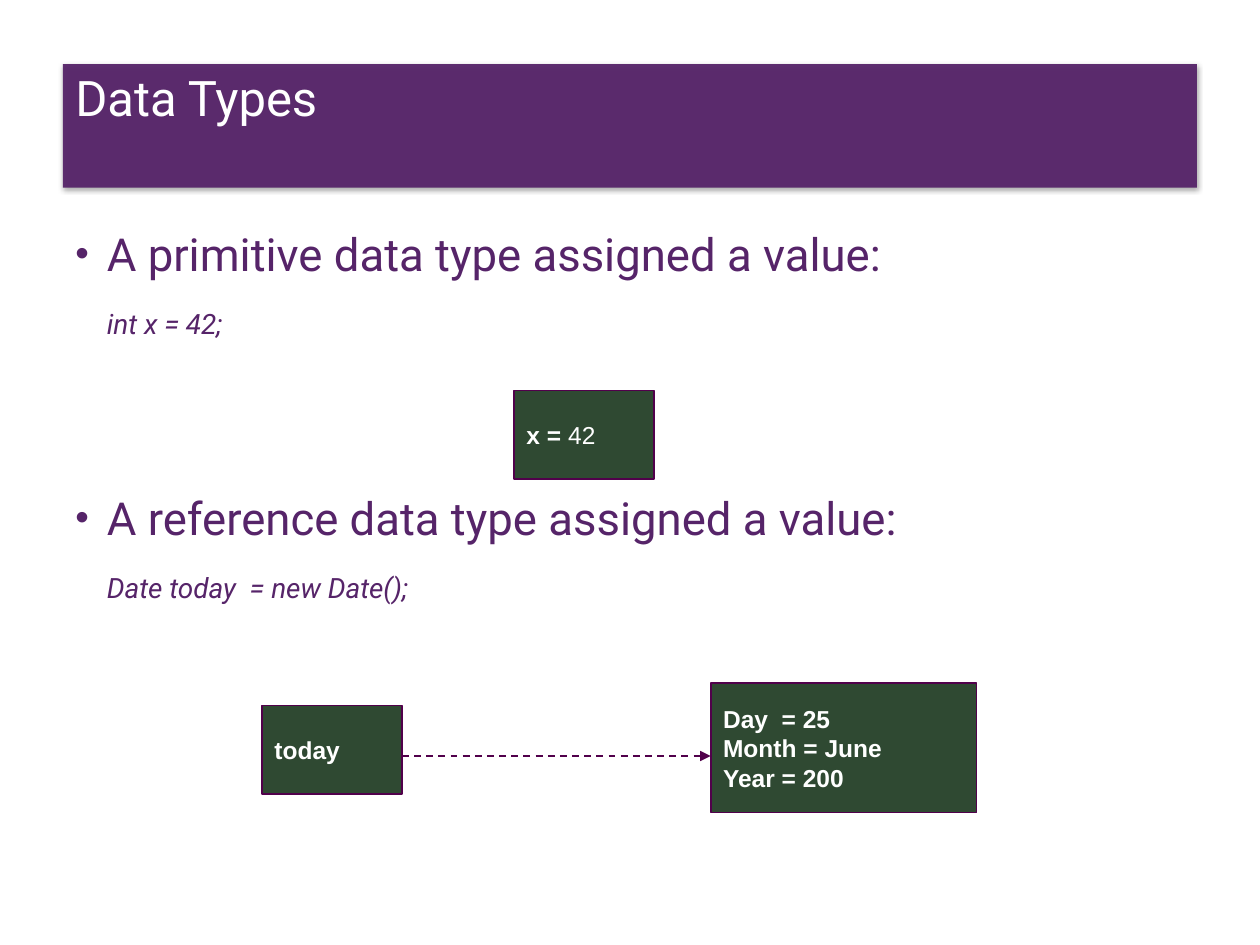
from dataclasses import dataclass

from lxml.etree import SubElement
from pptx import Presentation
from pptx.dml.color import RGBColor
from pptx.enum.dml import MSO_LINE
from pptx.enum.shapes import MSO_CONNECTOR, MSO_SHAPE
from pptx.enum.text import MSO_ANCHOR, PP_ALIGN
from pptx.oxml.ns import qn
from pptx.util import Inches, Pt


@dataclass(frozen=True)
class Theme:
    """Colours, fonts and type sizes of the slide."""
    purple: str = "562469"
    white: str = "FFFFFF"
    green: str = "2F4932"
    edge: str = "51004B"
    text_font: str = "Roboto"
    box_font: str = "Arial"
    title: int = 28
    bullet: int = 26
    code: int = 16
    label: int = 14


THEME = Theme()


def add_xml(parent, tag, **attributes):
    """Append a DrawingML element and return it."""
    return SubElement(parent, qn(tag), {key: str(value) for key, value in attributes.items()})


def add_span(para, text, font, size, color, bold=False, italic=False):
    """Append one formatted run to a paragraph."""
    span = para.add_run()
    span.text = text
    span.font.name = font
    span.font.size = Pt(size)
    span.font.color.rgb = RGBColor.from_string(color)
    span.font.bold = bold
    span.font.italic = italic


def add_panel(page, box, fill):
    """Add a plain filled rectangle with left-aligned text."""
    panel = page.shapes.add_shape(MSO_SHAPE.RECTANGLE, *map(Inches, box))
    panel.shadow.inherit = False
    panel.fill.solid()
    panel.fill.fore_color.rgb = RGBColor.from_string(fill)
    panel.text_frame.word_wrap = True
    panel.text_frame.paragraphs[0].alignment = PP_ALIGN.LEFT
    return panel


def add_title(page, box, text):
    """Add the title band with its soft shadow."""
    band = add_panel(page, box, THEME.purple)
    band.line.fill.background()
    properties = band._element.spPr
    color = properties.find(qn("a:solidFill")).find(qn("a:srgbClr"))
    add_xml(color, "a:alpha", val=95000)
    shadow = add_xml(properties.find(qn("a:effectLst")), "a:outerShdw",
                     blurRad=40000, dist=12000, dir=5400000, rotWithShape=0)
    add_xml(add_xml(shadow, "a:srgbClr", val="000000"), "a:alpha", val=35000)
    frame = band.text_frame
    frame.margin_top = 0
    frame.vertical_anchor = MSO_ANCHOR.TOP
    para = frame.paragraphs[0]
    para.line_spacing = 1.05
    add_span(para, text, THEME.text_font, THEME.title, THEME.white)


def add_body(page, box, topics):
    """Add bulleted statements, each followed by a line of code."""
    frame = page.shapes.add_textbox(*map(Inches, box)).text_frame
    frame.word_wrap = True
    for index, (statement, code) in enumerate(topics):
        para = frame.add_paragraph() if index else frame.paragraphs[0]
        para.space_before = Pt(84 if index else 0)
        para.line_spacing = Pt(33)
        properties = para._p.get_or_add_pPr()
        properties.set("marL", str(Inches(0.25)))
        properties.set("indent", str(-Inches(0.25)))
        add_xml(properties, "a:buSzPct", val=85000)
        add_xml(properties, "a:buFont", typeface="Arial")
        add_xml(properties, "a:buChar", char="•")
        add_span(para, statement, THEME.text_font, THEME.bullet, THEME.purple)

        para = frame.add_paragraph()
        para.space_before = Pt(1)
        para.line_spacing = Pt(33)
        para._p.get_or_add_pPr().set("marL", str(Inches(0.25)))
        add_span(para, code, THEME.text_font, THEME.code, THEME.purple, italic=True)


def add_memory_box(page, box, lines):
    """Add a box of lines, each a list of (text, bold) pairs."""
    panel = add_panel(page, box, THEME.green)
    panel.line.color.rgb = RGBColor.from_string(THEME.edge)
    panel.line.width = Pt(1)
    frame = panel.text_frame
    frame.vertical_anchor = MSO_ANCHOR.MIDDLE
    for index, spans in enumerate(lines):
        para = frame.add_paragraph() if index else frame.paragraphs[0]
        para.alignment = PP_ALIGN.LEFT
        for text, bold in spans:
            add_span(para, text, THEME.box_font, THEME.label, THEME.white, bold)


def add_reference_arrow(page, left, right, height):
    """Add a dashed horizontal arrow."""
    arrow = page.shapes.add_connector(
        MSO_CONNECTOR.STRAIGHT, *map(Inches, (left, height, right, height)))
    arrow.line.color.rgb = RGBColor.from_string(THEME.edge)
    arrow.line.width = Pt(1)
    arrow.line.dash_style = MSO_LINE.DASH
    add_xml(arrow.line._get_or_add_ln(), "a:tailEnd", type="triangle")
    add_xml(arrow._element.spPr, "a:effectLst")


def add_reference_diagram(page, box):
    """Add a variable box pointing to its object box."""
    left, top, width, height = box
    small, large = 1.11, 2.11
    object_left = left + width - large
    add_memory_box(page, (left, top + 0.18, small, 0.7), [[("today", True)]])
    fields = ("Day  = 25", "Month = June", "Year = 200")
    add_memory_box(page, (object_left, top, large, height),
                   [[(field, True)] for field in fields])
    add_reference_arrow(page, left + small, object_left, top + 0.58)


def build():
    """Build the slide and save it."""
    deck = Presentation()
    deck.slide_width, deck.slide_height = Inches(10), Inches(7.5)
    page = deck.slides.add_slide(deck.slide_layouts[6])
    add_title(page, (0.5, 0.51, 9, 0.98), "Data Types")
    add_body(page, (0.5, 1.72, 9, 5.52), [
        ("A primitive data type assigned a value:", "int x = 42;"),
        ("A reference data type assigned a value:", "Date today  = new Date();"),
    ])
    add_memory_box(page, (4.08, 3.1, 1.11, 0.7), [[("x = ", True), ("42", False)]])
    add_reference_diagram(page, (2.08, 5.42, 5.67, 1.03))
    deck.save("out.pptx")


build()
